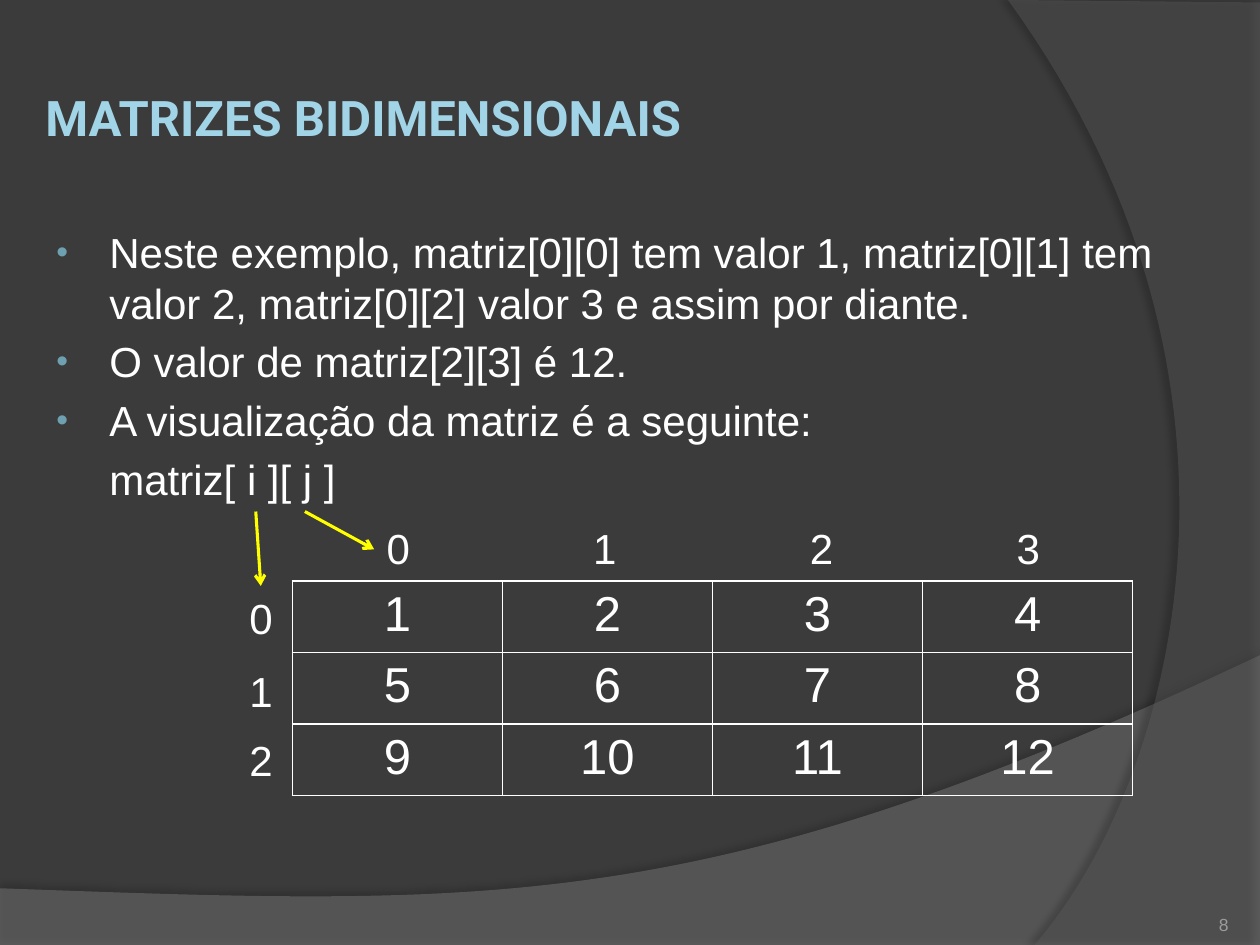
from dataclasses import dataclass

from lxml import etree
from pptx import Presentation
from pptx import util as u
from pptx.dml.color import RGBColor
from pptx.enum import shapes, text
from pptx.oxml import parse_xml
from pptx.oxml.ns import qn

NS = 'xmlns:a="http://schemas.openxmlformats.org/drawingml/2006/main"'
ALIGN, ANCHOR = text.PP_ALIGN, text.MSO_ANCHOR


@dataclass(frozen=True)
class Theme:
    background: str = "3B3B3B"
    wave: str = "7F7F7F"
    arc: str = "5E5E5E"
    title: str = "A1D4E7"
    body: str = "FFFFFF"
    bullet: str = "6EA0B0"
    arrow: str = "FFFF00"
    number: str = "9D9B9A"
    title_font: str = "Roboto"
    body_font: str = "Arial"
    large: int = 28
    medium: int = 24
    small: int = 10


def rgb(value):
    return RGBColor.from_string(value)


def write(p, content, *, size, color, font, bold=False, align=ALIGN.LEFT):
    p.alignment = align
    r = p.add_run()
    r.text = content
    r.font.size, r.font.name, r.font.bold = u.Pt(size), font, bold
    r.font.color.rgb = rgb(color)


def bezier(p0, p1, p2, p3, steps=60):
    """Return points along a cubic curve, without its start."""
    points = []
    for n in range(1, steps + 1):
        t = n / steps
        weights = ((1 - t) ** 3, 3 * t * (1 - t) ** 2, 3 * t * t * (1 - t), t ** 3)
        points.append(tuple(sum(w * c for w, c in zip(weights, axis))
                            for axis in zip(p0, p1, p2, p3)))
    return points


class SlideBuilder:
    def __init__(self, slide, theme):
        self.s, self.theme = slide, theme
        fill = slide.background.fill
        fill.solid()
        fill.fore_color.rgb = rgb(theme.background)

    def shade(self, points, color, opacity, shadow_opacity, distance, angle):
        """Draw a translucent outline with a soft shadow."""
        corners = [(u.Inches(x), u.Inches(y)) for x, y in points]
        builder = self.s.shapes.build_freeform(*corners[0])
        builder.add_line_segments(corners[1:], close=True)
        sp = builder.convert_to_shape()
        sp.fill.solid()
        sp.fill.fore_color.rgb = rgb(color)
        sp.line.fill.background()
        clr = sp._element.spPr.find(".//" + qn("a:solidFill"))[0]
        etree.SubElement(clr, qn("a:alpha"), val=str(opacity * 1000))
        sp._element.spPr.append(parse_xml(
            f'<a:effectLst {NS}><a:outerShdw blurRad="{u.Pt(4)}" '
            f'dist="{u.Pt(distance)}" dir="{angle * 60000}" algn="ctr" '
            f'rotWithShape="0"><a:srgbClr val="000000">'
            f'<a:alpha val="{shadow_opacity * 1000}"/></a:srgbClr>'
            f'</a:outerShdw></a:effectLst>'))

    def frame(self, box, anchor=ANCHOR.TOP, insets=(0.1, 0.05)):
        tf = self.s.shapes.add_textbox(*map(u.Inches, box)).text_frame
        tf.word_wrap, tf.vertical_anchor = True, anchor
        tf.margin_left = tf.margin_right = u.Inches(insets[0])
        tf.margin_top = tf.margin_bottom = u.Inches(insets[1])
        return tf

    def label(self, content, box, *, anchor=ANCHOR.TOP, insets=(0.1, 0.05), **style):
        base = dict(size=self.theme.medium, color=self.theme.body,
                    font=self.theme.body_font)
        write(self.frame(box, anchor, insets).paragraphs[0], content, **(base | style))

    def bullets(self, items, box):
        """Write (text, has_bullet) items with a shared hanging indent."""
        t = self.theme
        tf = self.frame(box)
        for n, (content, marked) in enumerate(items):
            p = tf.add_paragraph() if n else tf.paragraphs[0]
            if n:
                p.space_before = u.Pt(4.8)
            pPr = p._p.get_or_add_pPr()
            pPr.set("marL", str(u.Inches(0.46)))
            pPr.set("indent", str(u.Inches(-0.42 if marked else 0)))
            if marked:
                for xml in (f'<a:buClr {NS}><a:srgbClr val="{t.bullet}"/></a:buClr>',
                            f'<a:buSzPct {NS} val="80000"/>',
                            f'<a:buFont {NS} typeface="{t.body_font}"/>',
                            f'<a:buChar {NS} char="•"/>'):
                    pPr.append(parse_xml(xml))
            write(p, content, size=t.medium, color=t.body, font=t.body_font)

    def grid(self, rows, box):
        t = self.theme
        table = self.s.shapes.add_table(len(rows), len(rows[0]),
                                        *map(u.Inches, box)).table
        table.first_row = table.horz_banding = False
        for i, values in enumerate(rows):
            for j, value in enumerate(values):
                cell = table.cell(i, j)
                write(cell.text_frame.paragraphs[0], str(value), size=t.large,
                      color=t.body, font=t.body_font, align=ALIGN.CENTER)
                tcPr = cell._tc.get_or_add_tcPr()
                for side in ("lnL", "lnR", "lnT", "lnB"):
                    tcPr.append(parse_xml(
                        f'<a:{side} {NS} w="{u.Pt(1)}"><a:solidFill>'
                        f'<a:srgbClr val="{t.body}"/></a:solidFill></a:{side}>'))
                cell.fill.background()

    def arrow(self, start, end):
        line = self.s.shapes.add_connector(
            shapes.MSO_CONNECTOR.STRAIGHT, *map(u.Inches, start + end))
        line.line.color.rgb = rgb(self.theme.arrow)
        line.line.width = u.Pt(1.75)
        etree.SubElement(line.line._get_or_add_ln(), qn("a:tailEnd"), type="arrow")
        etree.SubElement(line._element.spPr, qn("a:effectLst"))


def main():
    prs = Presentation()
    prs.slide_width, prs.slide_height = u.Inches(10), u.Inches(7.5)
    t = Theme()
    page = SlideBuilder(prs.slides.add_slide(prs.slide_layouts[6]), t)

    wave = [(0, 7.05), (0, 7.51), (10, 7.51), (10, 5.2)]
    wave += bezier((10, 5.2), (5.59, 7.29), (3.91, 7.19), (0, 7.05))
    page.shade(wave, t.wave, 45, 35, 3.5, 270)
    arc = [(10, 0.02), (10, 7.5), (8.21, 7.5)]
    arc += bezier((8.21, 7.5), (9.35, 6.19), (10.18, 3), (8, 0))
    page.shade(arc, t.arc, 40, 45, 4, 180)

    page.label("MATRIZES BIDIMENSIONAIS", (0.31, 0.3, 9.38, 1.25),
               anchor=ANCHOR.MIDDLE, insets=(0.05, 0.05), size=t.large,
               color=t.title, font=t.title_font, bold=True)
    page.bullets([
        ("Neste exemplo, matriz[0][0] tem valor 1, matriz[0][1] tem valor 2, "
         "matriz[0][2] valor 3 e assim por diante.", True),
        ("O valor de matriz[2][3] é 12.", True),
        ("A visualização da matriz é a seguinte:", True),
        ("matriz[ i ][ j ]", False),
    ], (0.31, 1.75, 9.38, 4.95))

    columns = 4
    page.grid([range(n, n + columns) for n in (1, 5, 9)], (2.32, 4.61, 6.67, 1.7))
    column_labels = [(x, 4.1) for x in (2.97, 4.61, 6.33, 7.97)]
    row_labels = [(1.88, y) for y in (4.65, 5.23, 5.78)]
    for positions in (column_labels, row_labels):
        for index, (x, y) in enumerate(positions):
            page.label(str(index), (x, y, 0.39, 0.51))

    page.arrow((2.42, 4.06), (2.97, 4.36))
    page.arrow((2.03, 4.06), (2.07, 4.65))
    page.label("8", (8.92, 7.02, 0.83, 0.4), anchor=ANCHOR.BOTTOM, insets=(0, 0),
               size=t.small, color=t.number, align=ALIGN.RIGHT)
    prs.save("out.pptx")


if __name__ == "__main__":
    main()
